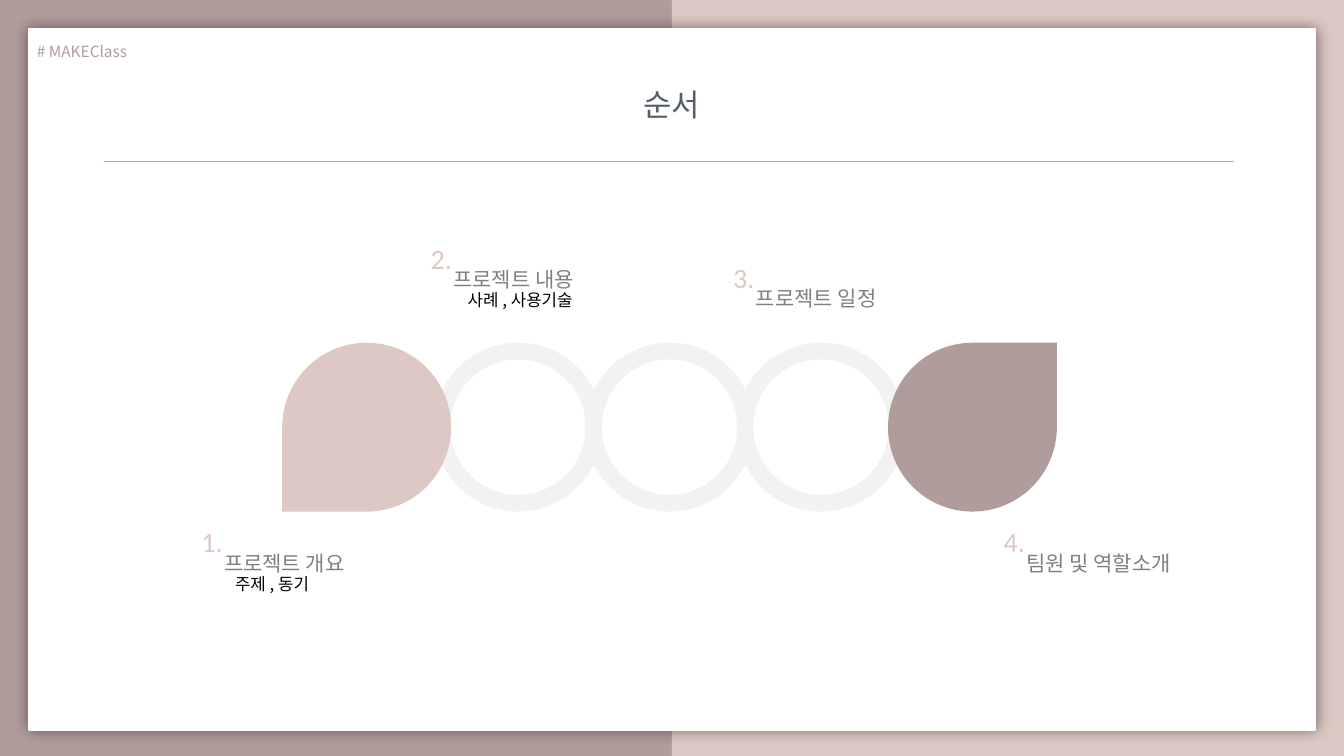
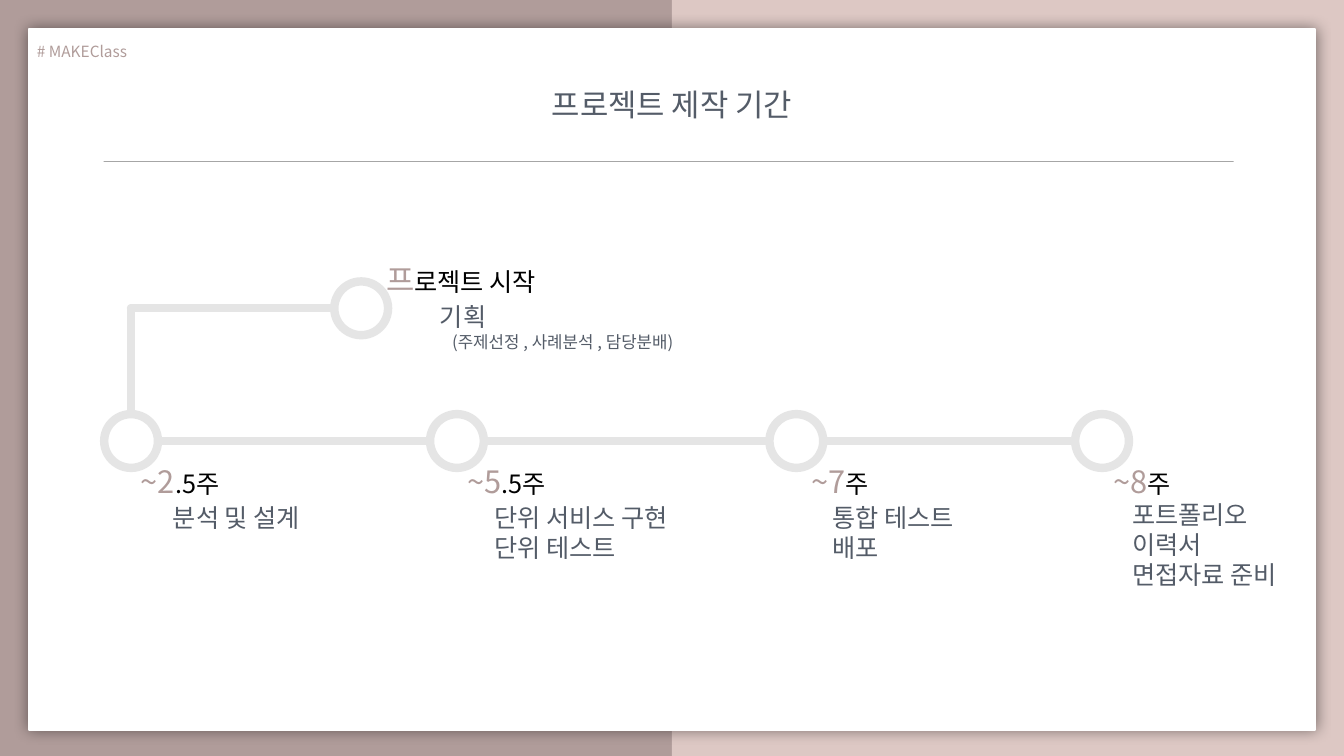
from dataclasses import dataclass

from lxml import etree
from pptx import Presentation
from pptx.dml.color import RGBColor
from pptx.enum.shapes import MSO_CONNECTOR, MSO_SHAPE
from pptx.enum.text import MSO_ANCHOR, PP_ALIGN
from pptx.oxml.ns import qn
from pptx.util import Emu, Inches, Pt

RECT, OVAL, DROP = MSO_SHAPE.RECTANGLE, MSO_SHAPE.OVAL, MSO_SHAPE.TEAR
STRAIGHT = MSO_CONNECTOR.STRAIGHT
LEFT, CENTER, JUSTIFY = PP_ALIGN.LEFT, PP_ALIGN.CENTER, PP_ALIGN.JUSTIFY
TOP, MIDDLE = MSO_ANCHOR.TOP, MSO_ANCHOR.MIDDLE

# The slide is a grid of square cells, 160 columns by 90 rows
COLS, ROWS = 160, 90
CELL = Inches(1) // 12
KOREAN, LATIN = "Noto Sans CJK KR", "Calibri"
COLORS = {
    "mauve": "B09C9A", "blush": "DDC8C4", "white": "FFFFFF", "black": "000000",
    "slate": "545C68", "gray": "808080", "rule": "A6A6A6",
    "ring": "F2F2F2", "track": "E5E5E5",
}


@dataclass
class Run:
    text: str
    size: float
    color: str
    font: str = KOREAN


@dataclass
class Topic:
    col: float
    row: float
    number: str
    heading: str
    detail: str = ""
    detail_shift: float = 0


@dataclass
class Milestone:
    center: tuple[float, float]
    label: tuple[float, float]
    lead: str
    rest: str
    body: tuple[float, float]
    tasks: list[str]
    note: str = ""


TOPICS = [
    Topic(22.8, 61.9, "1.", "프로젝트 개요", "주제 , 동기", 4),
    Topic(50.1, 28.1, "2.", "프로젝트 내용", "사례 , 사용기술", 4.4),
    Topic(86.1, 30.4, "3.", "프로젝트 일정"),
    Topic(118.3, 61.9, "4.", "팀원 및 역할소개"),
]

TRACK_ROW, LABEL_ROW, TASK_ROW = 52.5, 54.5, 59.2
START = Milestone((43, 36.7), (44.8, 30.5), "프", "로젝트 시작", (51.2, 35.3),
                  ["기획"], "(주제선정 , 사례분석 , 담당분배)")
WEEKS = [
    Milestone((15.6, TRACK_ROW), (15.6, LABEL_ROW), "~2", ".5주",
              (19.4, TASK_ROW), ["분석 및 설계"]),
    Milestone((54.4, TRACK_ROW), (54.5, LABEL_ROW), "~5", ".5주",
              (57.7, TASK_ROW), ["단위 서비스 구현", "단위 테스트"]),
    Milestone((94.8, TRACK_ROW), (95.4, LABEL_ROW), "~7", "주",
              (97.9, TASK_ROW), ["통합 테스트", "배포"]),
    Milestone((131.2, TRACK_ROW), (131.4, LABEL_ROW), "~8", "주",
              (133.6, 58.8), ["포트폴리오", "이력서", "면접자료 준비"]),
]


def grid(*cells: float) -> list[Emu]:
    return [Emu(round(c * CELL)) for c in cells]


def rgb(name: str) -> RGBColor:
    return RGBColor.from_string(COLORS[name])


def add_shape(s, kind, box, fill: str, line: str = "", width: float = 0):
    sp = s.shapes.add_shape(kind, *grid(*box))
    sp.shadow.inherit = False
    sp.fill.solid()
    sp.fill.fore_color.rgb = rgb(fill)
    if line:
        sp.line.color.rgb = rgb(line)
        sp.line.width = Pt(width)
    else:
        sp.line.fill.background()
    return sp


def add_line(s, start, end, color: str, width: float) -> None:
    line = s.shapes.add_connector(STRAIGHT, *grid(*start, *end))
    line.line.color.rgb = rgb(color)
    line.line.width = Pt(width)
    line.line._get_or_add_ln().set("cap", "rnd")
    etree.SubElement(line._element.spPr, qn("a:effectLst"))


def add_text(s, box, paragraphs: list[list[Run]], align=LEFT, anchor=TOP,
             spacing: float = 1):
    tf = s.shapes.add_textbox(*grid(*box)).text_frame
    tf.word_wrap = True
    tf.vertical_anchor = anchor
    for i, runs in enumerate(paragraphs):
        p = tf.add_paragraph() if i else tf.paragraphs[0]
        p.alignment = align
        p.line_spacing = spacing
        for run in runs:
            r = p.add_run()
            r.text = run.text
            r.font.size = Pt(run.size)
            r.font.name = run.font
            r.font.color.rgb = rgb(run.color)
            ea = etree.SubElement(r._r.get_or_add_rPr(), qn("a:ea"))
            ea.set("typeface", run.font)
    return tf


def add_glow(sp) -> None:
    """Soft dark shadow on every side of the panel."""
    effects = sp._element.spPr.find(qn("a:effectLst"))
    shadow = etree.SubElement(effects, qn("a:outerShdw"),
                              blurRad=str(Pt(10)), dist="0", dir="0",
                              algn="ctr", rotWithShape="0")
    color = etree.SubElement(shadow, qn("a:srgbClr"), val=COLORS["black"])
    etree.SubElement(color, qn("a:alpha"), val="47000")


def new_slide(prs, title: str):
    """Two-tone backdrop, white panel, tag, title and rule."""
    s = prs.slides.add_slide(prs.slide_layouts[6])
    for i, color in enumerate(("mauve", "blush")):
        add_shape(s, RECT, (i * COLS / 2, 0, COLS / 2, ROWS), color)
    add_glow(add_shape(s, RECT, (3.5, 3.5, 153.1, 83.4), "white", "white", 1.5))
    add_line(s, (12.4, 19.2), (146.8, 19.2), "rule", 1)
    add_text(s, (29, 8.2, 102, 8.5), [[Run(title, 22, "slate")]], CENTER, MIDDLE)
    add_text(s, (3.2, 2.2, 29.6, 5.5), [[Run("# MAKEClass", 11, "mauve")]],
             JUSTIFY, spacing=2)
    return s


def add_topic(s, t: Topic) -> None:
    add_text(s, (t.col + 2.7, t.row, 22.8, 7.2),
             [[Run(t.heading, 15, "gray")]], JUSTIFY, spacing=2)
    add_text(s, (t.col, t.row, 5.3, 5.2), [[Run(t.number, 20, "blush", LATIN)]])
    if t.detail:
        add_text(s, (t.col + t.detail_shift, t.row + 5.8, 21, 3.5),
                 [[Run(t.detail, 12, "black")]])


def add_milestone(s, m: Milestone) -> None:
    size = 6.4
    col, row = m.center
    add_shape(s, OVAL, (col - size / 2, row - size / 2, size, size),
              "white", "track", 6)
    add_text(s, (*m.label, 21, 5.5),
             [[Run(m.lead, 22, "mauve"), Run(m.rest, 18, "black")]])
    lines = [[Run(task, 18, "slate")] for task in m.tasks]
    if m.note:
        lines.append([Run(m.note, 12, "slate")])
    tf = add_text(s, (*m.body, 50 if m.note else 24, 3.6 * len(lines) + 1.2), lines)
    if m.note:
        tf.paragraphs[-1]._p.get_or_add_pPr().set("marL", str(Inches(0.12)))


def build_contents(prs) -> None:
    s = new_slide(prs, "순서")
    # Chain of three rings between two teardrops
    left, top, step, size, band = 33.6, 40.8, 18.03, 20.1, 2
    for i in range(1, 4):
        x = left + i * step
        add_shape(s, OVAL, (x, top, size, size), "ring")
        hole = size - 2 * band
        add_shape(s, OVAL, (x + band, top + band, hole, hole), "white")
    for i, color, turn in ((0, "blush", 180), (4, "mauve", 0)):
        drop = add_shape(s, DROP, (left + i * step, top, size, size), color)
        drop.rotation = turn
    for topic in TOPICS:
        add_topic(s, topic)


def build_schedule(prs) -> None:
    s = new_slide(prs, "프로젝트 제작 기간")
    # Track: from the start, around the corner, along the weeks
    corner = (WEEKS[0].center[0], START.center[1])
    stops = [START.center, corner, WEEKS[0].center, WEEKS[-1].center]
    for start, end in zip(stops, stops[1:]):
        add_line(s, start, end, "track", 6)
    for milestone in (START, *WEEKS):
        add_milestone(s, milestone)


def main() -> None:
    prs = Presentation()
    prs.slide_width, prs.slide_height = grid(COLS, ROWS)
    build_contents(prs)
    build_schedule(prs)
    prs.save("out.pptx")


if __name__ == "__main__":
    main()
